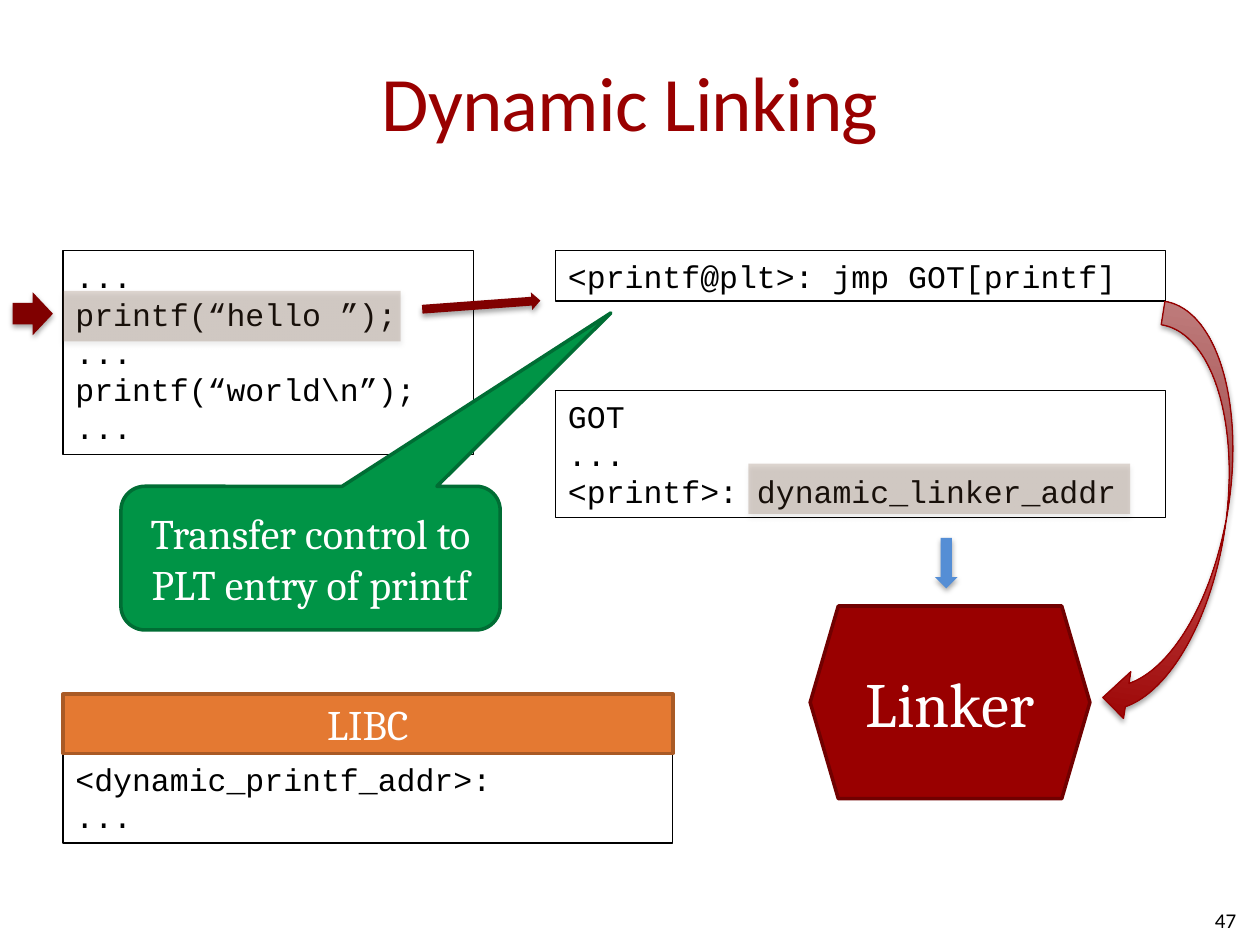
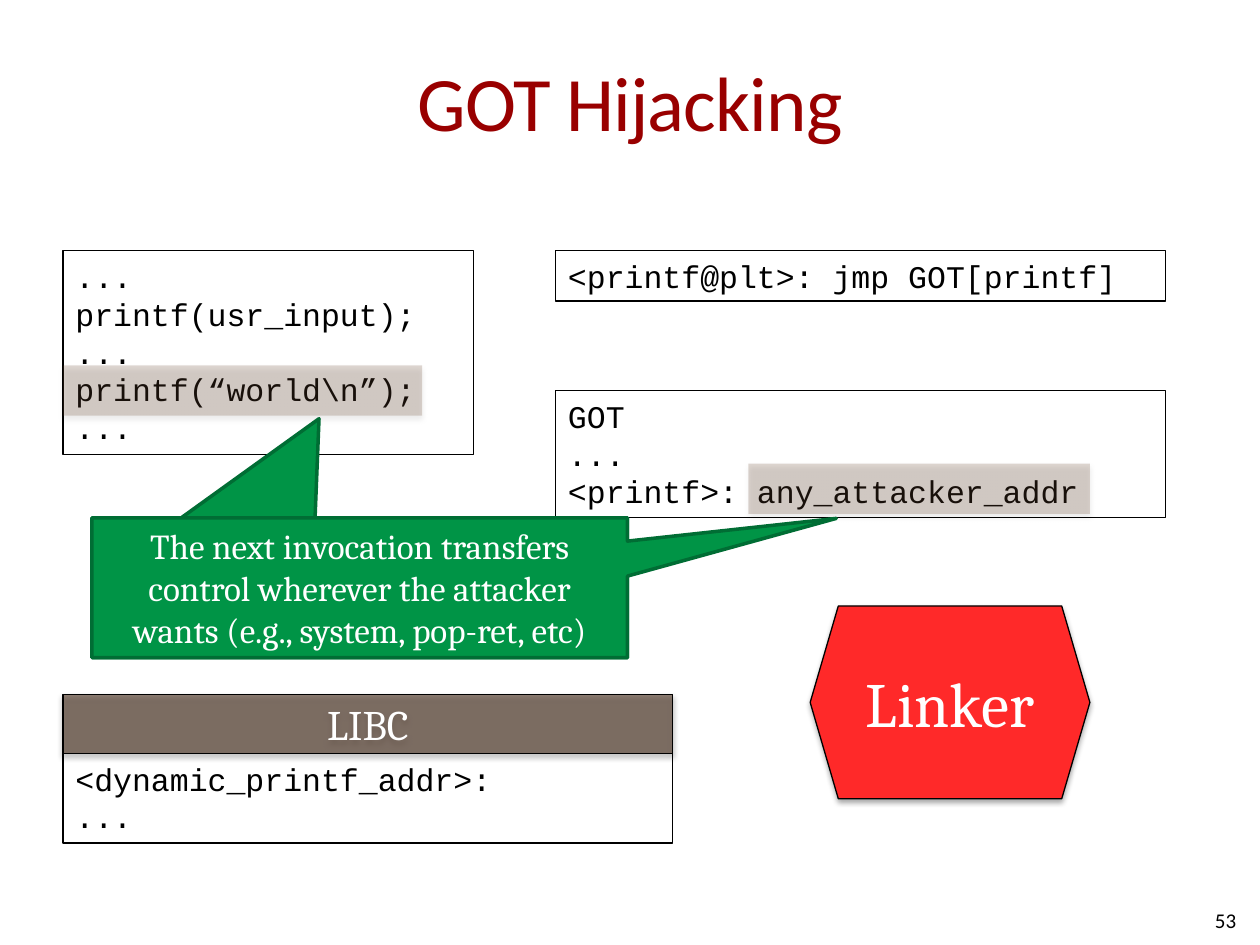
import pptx
import pptx.util
import pptx.dml.color
import pptx.enum.shapes
import pptx.enum.text
import pptx.oxml
import pptx.oxml.ns

COLS, ROWS = 100, 75
COLORS = {
    "title": "990000", "ink": "000000", "white": "FFFFFF",
    "marker": "6E4A31", "arrow": "800000", "down": "558ED5",
    "callout": "009446", "callout_line": "006D34",
    "libc": "E47932", "libc_line": "A95A25", "libc_dim": "4A3120",
    "linker": "990000", "linker_line": "710000", "linker_alert": "FF2929",
    "return_line": "960000", "return_tip": "F19F9F",
}
MSO = pptx.enum.shapes.MSO_SHAPE
ALIGN = pptx.enum.text.PP_ALIGN
ANCHOR = pptx.enum.text.MSO_ANCHOR
THIN = ("ink", 0.75)

TITLE = (5, 1.7, 90, 12.5)
PAGE_NUMBER = (75.8, 71, 23.3, 4)
PROGRAM = (5, 19.9, 32.6, 16.2)
PLT = (44.1, 19.9, 48.4, 4)
GOT = (44.1, 31, 48.4, 10.1)
LIBC = (5, 55.1, 48.4, 11.8)
LINKER = (64.3, 48.1, 22.2, 15.3)
TRANSFER = (9.6, 38.6, 30.1, 11.4)
HIJACK = (7.3, 41.1, 42.5, 11.1)

prs = pptx.Presentation()
prs.slide_width = pptx.util.Inches(10)
prs.slide_height = pptx.util.Inches(7.5)


def rgb(name):
    """Return the palette colour called name."""
    return pptx.dml.color.RGBColor.from_string(COLORS[name])


def emu(box):
    """Turn a box in columns and rows into slide lengths."""
    x, y, w, h = box
    col, row = prs.slide_width / COLS, prs.slide_height / ROWS
    return [round(n) for n in (x * col, y * row, w * col, h * row)]


def inside(box, dx, dy, w, h):
    """Return a box of size w, h offset from the corner of another box."""
    return box[0] + dx, box[1] + dy, w, h


def add_shadow(sp):
    """Give a shape the soft shadow that falls straight down."""
    ns = pptx.oxml.ns.nsdecls("a")
    effects = sp._element.spPr.find(pptx.oxml.ns.qn("a:effectLst"))
    effects.append(pptx.oxml.parse_xml(
        f'<a:outerShdw {ns} blurRad="39370" dist="22860" dir="5400000" rotWithShape="0">'
        '<a:srgbClr val="000000"><a:alpha val="35000"/></a:srgbClr></a:outerShdw>'))


def add_shape(s, kind, box, fill=None, line=None, alpha=None, shadow=False, adj=(), rot=0):
    """Add a preset shape with its fill, outline, shadow and adjustments."""
    sp = s.shapes.add_shape(kind, *emu(box))
    sp.rotation = rot
    for i, value in enumerate(adj):
        sp.adjustments[i] = value
    if fill:
        sp.fill.solid()
        sp.fill.fore_color.rgb = rgb(fill)
    else:
        sp.fill.background()
    if alpha:
        color = sp._element.spPr.xpath("./a:solidFill/a:srgbClr")[0]
        color.append(pptx.oxml.parse_xml(
            f'<a:alpha {pptx.oxml.ns.nsdecls("a")} val="{alpha * 1000}"/>'))
    if line:
        sp.line.color.rgb = rgb(line[0])
        sp.line.width = pptx.util.Pt(line[1])
    else:
        sp.line.fill.background()
    sp.shadow.inherit = False
    if shadow:
        add_shadow(sp)
    return sp


def write(sp, text, size, font, color="white", align=ALIGN.CENTER, anchor=ANCHOR.MIDDLE):
    """Write text into a shape and format its runs."""
    tf = sp.text_frame
    tf.text = text
    tf.word_wrap = True
    tf.vertical_anchor = anchor
    for p in tf.paragraphs:
        p.alignment = align
        for r in p.runs:
            r.font.size = pptx.util.Pt(size)
            r.font.name = font
            r.font.color.rgb = rgb(color)
    return tf


def frame(s, title, number):
    """Add the title and the page number."""
    tf = write(s.shapes.add_textbox(*emu(TITLE)), title, 44, "Calibri", "title")
    tf.margin_left = tf.margin_right = 0
    tf.paragraphs[0].runs[0].font._element.set("spc", "-50")
    write(s.shapes.add_textbox(*emu(PAGE_NUMBER)), str(number), 12, "Calibri", "ink", ALIGN.RIGHT)


def code_panel(s, box, lines):
    """Add an outlined panel of code lines."""
    sp = add_shape(s, MSO.RECTANGLE, box, line=THIN)
    tf = write(sp, "\n".join(lines), 18, "Courier New", "ink", ALIGN.LEFT, ANCHOR.TOP)
    tf.auto_size = pptx.enum.text.MSO_AUTO_SIZE.SHAPE_TO_FIT_TEXT


def marker(s, box, dx, dy, width):
    """Highlight one code line of the panel in box."""
    add_shape(s, MSO.RECTANGLE, inside(box, dx, dy, width, 4), "marker", alpha=22, shadow=True)


def tables(s, first_call, target):
    """Add the program, the PLT entry and the GOT."""
    code_panel(s, PROGRAM, ["...", first_call, "...", "printf(“world\\n”);", "..."])
    code_panel(s, PLT, ["<printf@plt>: jmp GOT[printf]"])
    code_panel(s, GOT, ["GOT", "...", f"<printf>: {target}"])


def libc(s, box, **style):
    """Add the LIBC header above its code panel."""
    head = 4.7
    code_panel(s, inside(box, 0, head, box[2], box[3] - head), ["<dynamic_printf_addr>:", "..."])
    write(add_shape(s, MSO.RECTANGLE, inside(box, 0, 0, box[2], head), **style),
          "LIBC", 24, "Cambria")


def linker(s, box, **style):
    """Add the linker hexagon."""
    write(add_shape(s, MSO.HEXAGON, box, adj=[0.146], **style), "Linker", 36, "Cambria")


def callout(s, kind, box, adj):
    """Add a green callout pointing where adj says."""
    return add_shape(s, kind, box, "callout", ("callout_line", 2), adj=adj)


def call_arrows(s, box):
    """Add the arrows into and out of the program panel."""
    for offset, rot in (((-4, 3.3, 3.2, 3.4), 0), ((28.5, 3.6, 9.4, 1.4), 355.8)):
        add_shape(s, MSO.RIGHT_ARROW, inside(box, *offset), "arrow", shadow=True, rot=rot)


def linker_arrows(s, box):
    """Add the curved and the straight arrow that lead to the linker."""
    sp = add_shape(s, MSO.CURVED_LEFT_ARROW, inside(box, 25.5, -23.8, 7.5, 33.7),
                   line=("return_line", 0.75), shadow=True, rot=8.9)
    sp.fill.gradient()
    sp.fill.gradient_angle = 90
    for stop, position, color in zip(sp.fill.gradient_stops, (0, 1), ("linker", "return_tip")):
        stop.position = position
        stop.color.rgb = rgb(color)
    add_shape(s, MSO.RIGHT_ARROW, inside(box, 8.8, -4.3, 4, 1.8), "down", shadow=True, rot=90)


def dynamic_linking(s):
    """Build the slide on the first call through the PLT."""
    frame(s, "Dynamic Linking", 47)
    tables(s, "printf(“hello ”);", "dynamic_linker_addr")
    marker(s, PROGRAM, 0, 3.2, 26.8)
    call_arrows(s, PROGRAM)
    sp = callout(s, MSO.ROUNDED_RECTANGULAR_CALLOUT, TRANSFER, (0.792, -1.707, 0.167))
    write(sp, "Transfer control to PLT entry of printf", 24, "Cambria")
    libc(s, LIBC, fill="libc", line=("libc_line", 2))
    linker(s, LINKER, fill="linker", line=("linker_line", 2))
    linker_arrows(s, LINKER)
    marker(s, GOT, 15.3, 5.8, 30.3)


def got_hijacking(s):
    """Build the slide on the overwritten GOT entry."""
    frame(s, "GOT Hijacking", 53)
    tables(s, "printf(usr_input);", "any_attacker_addr")
    marker(s, PROGRAM, 0, 9.1, 28.5)
    libc(s, LIBC, fill="libc_dim", alpha=61, line=THIN, shadow=True)
    linker(s, LINKER, fill="linker_alert", line=THIN, shadow=True)
    marker(s, GOT, 15.3, 5.8, 27.1)
    for adj in ((-0.076, -1.209), (0.89, -0.496)):
        sp = callout(s, MSO.RECTANGULAR_CALLOUT, HIJACK, adj)
    write(sp, "The next invocation transfers control wherever the attacker wants "
              "(e.g., system, pop-ret, etc)", 20, "Cambria")


def main():
    """Build both slides and save the deck."""
    for build in (dynamic_linking, got_hijacking):
        build(prs.slides.add_slide(prs.slide_layouts[6]))
    prs.save("out.pptx")


if __name__ == "__main__":
    main()
